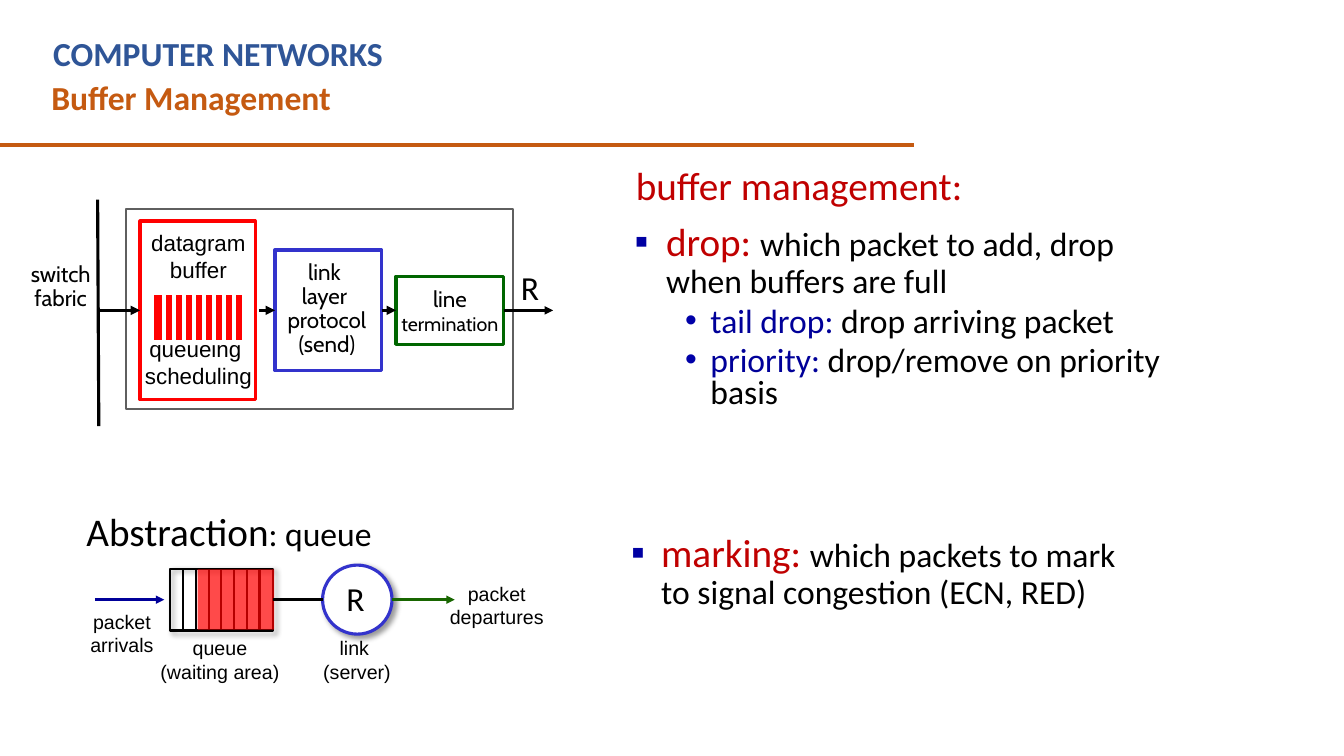
from lxml import etree
from pptx import Presentation
from pptx.dml.color import RGBColor
from pptx.enum.shapes import MSO_CONNECTOR, MSO_SHAPE
from pptx.enum.text import MSO_ANCHOR, MSO_AUTO_SIZE, PP_ALIGN
from pptx.oxml.ns import qn
from pptx.util import Cm, Pt

STRAIGHT = MSO_CONNECTOR.STRAIGHT
RECTANGLE, OVAL = MSO_SHAPE.RECTANGLE, MSO_SHAPE.OVAL
TOP, MIDDLE = MSO_ANCHOR.TOP, MSO_ANCHOR.MIDDLE
LEFT, CENTER = PP_ALIGN.LEFT, PP_ALIGN.CENTER
LEFT_SIDE, RIGHT_SIDE = 1, 3

BLACK, WHITE, RED = "000000", "FFFFFF", "FF0000"
ORANGE, TITLE_BLUE, CRIMSON = "C55A11", "2F5597", "C00000"
NAVY, BOX_BLUE, GREEN = "000099", "3333CC", "006600"


def color(hex_code):
    return RGBColor.from_string(hex_code)


def add_element(parent, tag, **attributes):
    return etree.SubElement(parent, qn(tag), attributes)


class Page:
    """The current slide and the style of everything drawn on it."""

    def __init__(self, deck):
        self.slide = deck.slides.add_slide(deck.slide_layouts[3])
        self.shapes = self.slide.shapes
        self.bodies = list(self.slide.placeholders)[1:]

    def place(self, box, left, top, width, height):
        box.left, box.top, box.width, box.height = map(Cm, (left, top, width, height))
        frame = box.text_frame
        frame.auto_size = MSO_AUTO_SIZE.NONE
        frame.vertical_anchor = TOP
        frame.word_wrap = True
        return frame

    def set_lines(self, frame, lines, size, font="Arial", hue=BLACK, bold=False,
                  align=CENTER, spacing=None):
        """Fill a frame with one paragraph per line and return the paragraphs."""
        frame.text = "\n".join(lines)
        for para in frame.paragraphs:
            para.alignment = align
            para.line_spacing = spacing
            para.font.name, para.font.size, para.font.bold = font, Pt(size), bold
            para.font.color.rgb = color(hue)
        return frame.paragraphs

    def heading(self, box, text, hue, left, top, width):
        frame = self.place(box, left, top, width, 1.27)
        self.set_lines(frame, [text], 24, "Calibri", hue, True, LEFT)

    def textbox(self):
        return self.shapes.add_textbox(0, 0, 0, 0)

    def label(self, lines, left, top, width, height, size=14, **style):
        frame = self.place(self.textbox(), left, top, width, height)
        frame.word_wrap = False
        return self.set_lines(frame, lines, size, **style)

    def block(self, left, top, width, height, fill=WHITE, outline=None,
              weight=2.25, kind=RECTANGLE, alpha=None, shadow=False):
        box = self.shapes.add_shape(kind, Cm(left), Cm(top), Cm(width), Cm(height))
        box.shadow.inherit = False
        if fill:
            box.fill.solid()
            box.fill.fore_color.rgb = color(fill)
        else:
            box.fill.background()
        if outline:
            box.line.color.rgb = color(outline)
            box.line.width = Pt(weight)
        else:
            box.line.fill.background()
        if alpha:
            shade = box._element.spPr.find(qn("a:solidFill")).find(qn("a:srgbClr"))
            add_element(shade, "a:alpha", val=str(alpha * 1000))
        if shadow:
            effects = box._element.spPr.find(qn("a:effectLst"))
            outer = add_element(effects, "a:outerShdw", blurRad=str(Pt(4)),
                                dist=str(Pt(3)), dir="2700000")
            shade = add_element(outer, "a:srgbClr", val=BLACK)
            add_element(shade, "a:alpha", val="40000")
        return box

    def caption(self, box, lines, spacing=None):
        """Centre wording inside a block."""
        frame = box.text_frame
        frame.word_wrap = False
        frame.vertical_anchor = MIDDLE
        return self.set_lines(frame, lines, 16, "Cabin", spacing=spacing)

    def line(self, start, end, hue=BLACK, weight=2.25, arrow=False, source=None, target=None):
        """Draw from start to end, joined to the source's right or target's left."""
        link = self.shapes.add_connector(STRAIGHT, *map(Cm, start + end))
        if source:
            link.begin_connect(source, RIGHT_SIDE)
        if target:
            link.end_connect(target, LEFT_SIDE)
        link.line.color.rgb = color(hue)
        link.line.width = Pt(weight)
        if arrow:
            outline = link._element.spPr.find(qn("a:ln"))
            add_element(outline, "a:tailEnd", type="triangle")
        add_element(link._element.spPr, "a:effectLst")

    def dividers(self, count, left, step, top, bottom, hue, weight):
        for index in range(count):
            x = left + index * step
            self.line((x, top), (x, bottom), hue, weight)

    def point(self, para, spans, margin, indent, bullet=None, bullet_hue=NAVY,
              spacing=0.9, before=0, level=0):
        """Build a list paragraph from (text, size, hue) spans."""
        para.level = level
        para.alignment = LEFT
        para.line_spacing = spacing
        para.space_before = Pt(before)
        properties = para._p.get_or_add_pPr()
        properties.set("marL", str(Cm(margin)))
        properties.set("indent", str(Cm(indent)))
        if bullet:
            add_element(add_element(properties, "a:buClr"), "a:srgbClr", val=bullet_hue)
            add_element(properties, "a:buFont", typeface="Arial")
            add_element(properties, "a:buChar", char=bullet)
        else:
            add_element(properties, "a:buNone")
        para.font.name = "Calibri"
        for text, size, hue in spans:
            span = para.add_run()
            span.text = text
            span.font.size = Pt(size)
            span.font.color.rgb = color(hue)


def draw_headings(page):
    page.line((-0.03, 3.66), (23.04, 3.66), ORANGE, 3)
    page.heading(page.textbox(), "COMPUTER NETWORKS", TITLE_BLUE, 1.09, 0.71, 20.83)
    page.heading(page.shapes.title, "Buffer Management", ORANGE, 1.04, 1.8, 22.23)


def draw_lists(page):
    policies, marking = page.bodies
    frame = page.place(policies, 15.72, 4.06, 13.79, 13.92)
    page.point(frame.paragraphs[0], [("buffer management:", 28, CRIMSON)], 0.66, -0.61)
    page.point(frame.add_paragraph(),
               [("drop: ", 28, CRIMSON),
                ("which packet to add, drop when buffers are full", 24, BLACK)],
               0.81, -0.79, "▪", "0000A3", before=10)
    for name, rule in (("tail drop: ", "drop arriving packet"),
                       ("priority: ", "drop/remove on priority basis")):
        page.point(frame.add_paragraph(), [(name, 24, NAVY), (rule, 24, BLACK)],
                   1.93, -0.64, "•", "0000A8", Pt(22.8), 5, 1)
    frame = page.place(marking, 15.27, 13.31, 13.79, 3.38)
    page.point(frame.paragraphs[0],
               [("marking: ", 28, CRIMSON),
                ("which packets to mark to signal congestion (ECN, RED)", 24, BLACK)],
               1.14, -0.76, "▪", "0000A3")


def draw_output_port(page):
    axis = 7.82
    page.block(3.18, 5.26, 9.75, 5.05, outline="5F5F5F", weight=1.5)
    termination = page.block(9.98, 6.96, 2.72, 1.72, outline=GREEN)
    page.caption(termination, ["line", "termination"])[1].font.size = Pt(14)
    protocol = page.block(6.93, 6.3, 2.69, 3.04, outline=BOX_BLUE)
    page.line((6.53, axis), (6.93, axis), arrow=True, target=protocol)
    page.line((9.62, axis), (9.98, axis), arrow=True, source=protocol, target=termination)
    page.caption(page.block(7.01, 6.71, 2.46, 2.16),
                 ["link ", "layer ", "protocol", "(send)"], 0.9)
    page.caption(page.block(0.3, 6.15, 2.46, 2.16), ["switch", "fabric"], 0.9)

    datagrams = page.block(3.53, 5.57, 2.9, 4.5, outline=RED)
    lines = page.label(["datagram", "buffer", "queueing ", "scheduling"],
                       3.35, 5.66, 3.3, 4.37, 16)
    lines[2].space_before = Pt(36.8)
    page.block(3.84, 7.39, 2.31, 1.22, RED, WHITE, 3)
    page.dividers(8, 4.14, 0.25, 7.42, 8.59, WHITE, 3)

    page.line((2.46, 5.03), (2.49, 10.74))
    page.line((2.44, axis), (3.53, axis), arrow=True, target=datagrams)
    page.line((12.7, axis), (13.94, axis), weight=2, arrow=True, source=termination)
    page.label(["R"], 12.88, 6.6, 0.97, 1.27, 24, font="Calibri", align=LEFT)


def draw_queue_model(page):
    axis = 15.11
    queue = page.block(4.29, 14.33, 2.59, 1.56, None, BLACK, 1.5, shadow=True)
    page.dividers(7, 4.62, 0.32, 14.33, 15.88, BLACK, 1.5)
    page.block(4.98, 14.35, 1.93, 1.52, RED, alpha=71)
    page.block(8.13, 14.24, 1.75, 1.74, outline=BOX_BLUE, kind=OVAL, shadow=True)
    page.line((2.39, axis), (4.14, axis), NAVY, 2, True)
    page.line((9.88, axis), (11.46, axis), "186600", 2, True)
    page.line((6.88, axis), (8.13, axis), weight=2, source=queue)
    for lines, left, top, width in ((["queue", "(waiting area)"], 3.78, 15.9, 3.53),
                                    (["packet", "arrivals"], 2.01, 15.24, 2.13),
                                    (["packet", "departures"], 11.07, 14.53, 2.9),
                                    (["link", " (server)"], 7.75, 15.9, 2.36)):
        page.label(lines, left, top, width, 1.45)
    frame = page.place(page.textbox(), 1.93, 12.65, 7.8, 1.45)
    page.point(frame.paragraphs[0], [("Abstraction", 28, BLACK), (": queue", 24, BLACK)],
               0, 0, spacing=1.0)
    page.label(["R"], 8.48, 14.45, 0.97, 1.27, 24, font="Calibri", align=LEFT)


def main():
    deck = Presentation()
    deck.slide_width, deck.slide_height = Cm(33.87), Cm(19.05)
    page = Page(deck)
    draw_headings(page)
    draw_lists(page)
    draw_output_port(page)
    draw_queue_model(page)
    deck.save("out.pptx")


if __name__ == "__main__":
    main()
